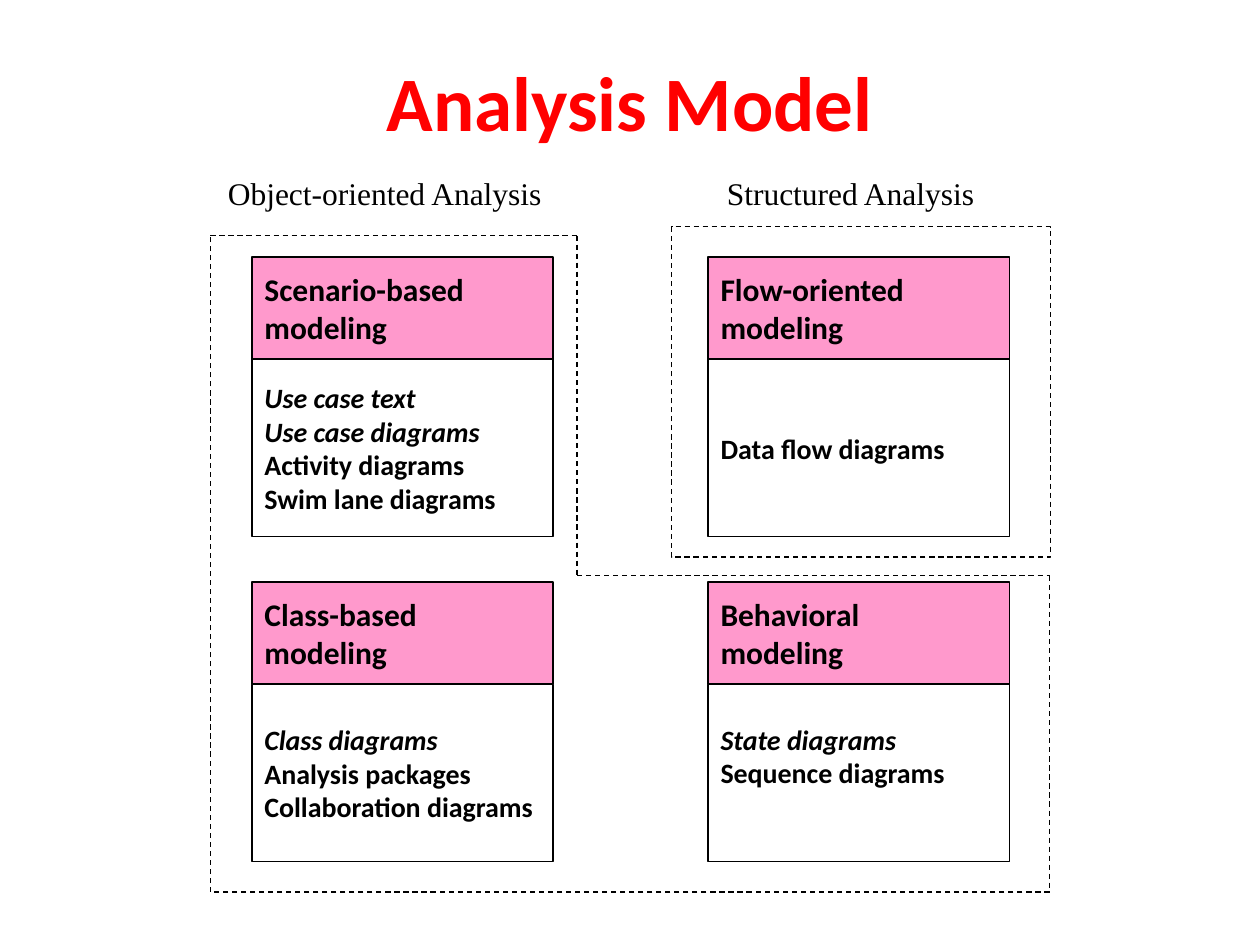
from dataclasses import dataclass
from itertools import pairwise

import pptx
import pptx.dml.color
import pptx.enum.dml
import pptx.enum.shapes
import pptx.enum.text
import pptx.oxml
import pptx.oxml.ns
import pptx.util
from pptx.util import Inches

ALIGN = pptx.enum.text.PP_ALIGN
ANCHOR = pptx.enum.text.MSO_ANCHOR
RECTANGLE = pptx.enum.shapes.MSO_SHAPE.RECTANGLE
STRAIGHT = pptx.enum.shapes.MSO_CONNECTOR.STRAIGHT
DASH = pptx.enum.dml.MSO_LINE.DASH

CARD_WIDTH, HEADER_HEIGHT, BODY_HEIGHT = 2.39, 0.81, 1.41
LEFT_COLUMN, RIGHT_COLUMN = 2, 5.62
TOP_ROW, BOTTOM_ROW = 2.04, 4.62


@dataclass
class Card:
    left: float
    top: float
    name: str
    italic_items: list[str]
    plain_items: list[str]
    bottom_inset: float = 0.05


@dataclass
class Label:
    text: str
    left: float
    top: float
    width: float
    height: float
    size: int = 18
    font: str = "Times New Roman"
    color: str = "000000"
    bold: bool = False
    align: ALIGN = ALIGN.LEFT


def color_of(value: str) -> pptx.dml.color.RGBColor:
    return pptx.dml.color.RGBColor.from_string(value)


def write(para, text: str, *, size: int, font: str = "Calibri", color: str = "000000",
          bold: bool = False, italic: bool = False, align: ALIGN = ALIGN.LEFT) -> None:
    para.alignment = align
    span = para.add_run()
    span.text = text
    span.font.name = font
    span.font.size = pptx.util.Pt(size)
    span.font.bold = bold
    span.font.italic = italic
    span.font.color.rgb = color_of(color)


def style_line(line, dashed: bool = False) -> None:
    line.color.rgb = color_of("000000")
    line.width = pptx.util.Pt(0.75)
    if dashed:
        line.dash_style = DASH


def add_box(shapes, left: float, top: float, width: float, height: float,
            fill: str | None = None, dashed: bool = False):
    box = shapes.add_shape(RECTANGLE, Inches(left), Inches(top), Inches(width), Inches(height))
    box.shadow.inherit = False
    if fill:
        box.fill.solid()
        box.fill.fore_color.rgb = color_of(fill)
    else:
        box.fill.background()
    style_line(box.line, dashed)
    return box


def fill_text(box, lines: list[tuple[str, bool]], size: int) -> None:
    frame = box.text_frame
    frame.word_wrap = True
    frame.vertical_anchor = ANCHOR.MIDDLE
    for index, (text, italic) in enumerate(lines):
        para = frame.add_paragraph() if index else frame.paragraphs[0]
        write(para, text, size=size, bold=True, italic=italic)


def add_card(page, card: Card) -> None:
    shapes = page.shapes.add_group_shape().shapes
    body = add_box(shapes, card.left, card.top + HEADER_HEIGHT, CARD_WIDTH, BODY_HEIGHT, "FFFFFF")
    items = [(item, True) for item in card.italic_items]
    items += [(item, False) for item in card.plain_items]
    fill_text(body, items, 16)
    body.text_frame.margin_bottom = Inches(card.bottom_inset)
    header = add_box(shapes, card.left, card.top, CARD_WIDTH, HEADER_HEIGHT, "FF99CC")
    fill_text(header, [(card.name, False), ("modeling", False)], 18)


def add_label(page, label: Label) -> None:
    box = page.shapes.add_textbox(Inches(label.left), Inches(label.top),
                                  Inches(label.width), Inches(label.height))
    frame = box.text_frame
    frame.word_wrap = True
    frame.vertical_anchor = ANCHOR.MIDDLE
    write(frame.paragraphs[0], label.text, size=label.size, font=label.font,
          color=label.color, bold=label.bold, align=label.align)


def add_dashed_line(page, start: tuple[float, float], end: tuple[float, float]) -> None:
    points = [Inches(value) for value in (*start, *end)]
    connector = page.shapes.add_connector(STRAIGHT, *points)
    style_line(connector.line, dashed=True)
    effects = pptx.oxml.parse_xml(f"<a:effectLst {pptx.oxml.ns.nsdecls('a')}/>")
    connector._element.spPr.append(effects)


LABELS = [
    Label("Analysis Model", 0.75, 0.17, 8.5, 1.25, size=44, font="Calibri",
          color="FF0000", bold=True, align=ALIGN.CENTER),
    Label("Object-oriented Analysis", 1.71, 1.33, 2.88, 0.4),
    Label("Structured Analysis", 5.67, 1.33, 2.31, 0.4),
]
CARDS = [
    Card(LEFT_COLUMN, TOP_ROW, "Scenario-based", ["Use case text", "Use case diagrams"],
         ["Activity diagrams", "Swim lane diagrams"]),
    Card(LEFT_COLUMN, BOTTOM_ROW, "Class-based", ["Class diagrams"],
         ["Analysis packages", "Collaboration diagrams"]),
    Card(RIGHT_COLUMN, TOP_ROW, "Flow-oriented", [], ["Data flow diagrams"]),
    Card(RIGHT_COLUMN, BOTTOM_ROW, "Behavioral", ["State diagrams"],
         ["Sequence diagrams"], bottom_inset=0.32),
]
OBJECT_ORIENTED_OUTLINE = [(1.67, 1.87), (4.58, 1.87), (4.58, 4.57), (8.33, 4.57),
                           (8.33, 7.08), (1.67, 7.08), (1.67, 1.87)]


def main() -> None:
    deck = pptx.Presentation()
    deck.slide_width, deck.slide_height = Inches(10), Inches(7.5)
    page = deck.slides.add_slide(deck.slide_layouts[6])
    for card in CARDS:
        add_card(page, card)
    add_box(page.shapes, 5.33, 1.8, 3.01, 2.62, dashed=True)
    for start, end in pairwise(OBJECT_ORIENTED_OUTLINE):
        add_dashed_line(page, start, end)
    for label in LABELS:
        add_label(page, label)
    deck.save("out.pptx")


if __name__ == "__main__":
    main()
